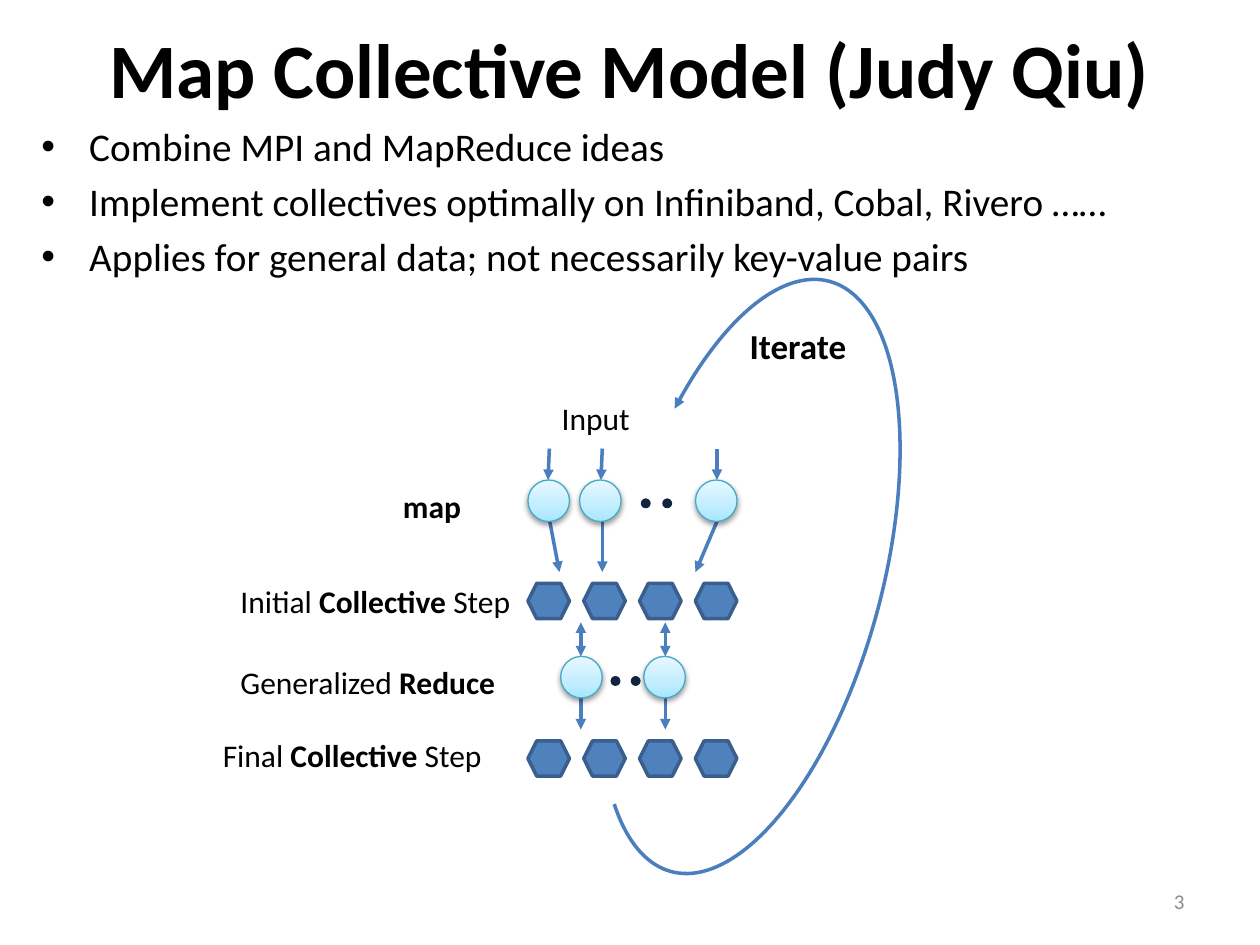
from copy import deepcopy
from dataclasses import dataclass

from lxml.etree import SubElement
from pptx import Presentation
from pptx.dml.color import RGBColor
from pptx.enum.shapes import MSO_CONNECTOR, MSO_SHAPE
from pptx.enum.text import MSO_ANCHOR, PP_ALIGN
from pptx.oxml.ns import qn
from pptx.util import Inches, Pt


@dataclass(frozen=True)
class Theme:
    font = "Calibri"
    text = RGBColor.from_string("000000")
    muted = RGBColor.from_string("8C8C8C")
    arrow = RGBColor.from_string("4B7EBC")
    hexagon = RGBColor.from_string("4F81BD")
    hexagon_edge = RGBColor.from_string("3A5F8C")
    dot = RGBColor.from_string("0F243E")
    disc_edge = RGBColor.from_string("46AAC5")
    disc_stops = ((0, "A7E6FF"), (0.35, "C1EDFF"), (1, "E7F8FF"))
    title_size = Pt(44)
    body_size = Pt(22.4)
    iterate_size = Pt(20)
    label_size = Pt(18)
    number_size = Pt(12)
    stroke = Pt(2)
    thin_stroke = Pt(0.75)


theme = Theme()
presentation = Presentation()
presentation.slide_width, presentation.slide_height = Inches(10), Inches(7.5)
slide = presentation.slides.add_slide(presentation.slide_layouts[6])
shapes = slide.shapes


def add_text(at, lines, size, color=theme.text, align=PP_ALIGN.LEFT, **frame_format):
    """Add a text box; words between asterisks are bold."""
    frame = shapes.add_textbox(*map(Inches, at)).text_frame
    for name, value in frame_format.items():
        setattr(frame, name, value)
    for index, line in enumerate(lines):
        paragraph = frame.add_paragraph() if index else frame.paragraphs[0]
        paragraph.alignment = align
        for part, words in enumerate(line.split("*")):
            if words:
                run = paragraph.add_run()
                run.text = words
                font_format = {"name": theme.font, "size": size, "bold": part % 2 == 1}
                for name, value in font_format.items():
                    setattr(run.font, name, value)
                run.font.color.rgb = color
    return frame


def style_arrow(arrow, ends):
    """Colour a line and put triangles at the given ends, headEnd before tailEnd."""
    arrow.line.color.rgb = theme.arrow
    arrow.line.width = theme.stroke
    for end in ends:
        SubElement(arrow.line._get_or_add_ln(), qn(f"a:{end}"), type="triangle")


# Heading, bullets and slide number
add_text((0.5, 0, 9, 1.07), ["*Map Collective Model (Judy Qiu)*"], theme.title_size,
         align=PP_ALIGN.CENTER, word_wrap=True, vertical_anchor=MSO_ANCHOR.MIDDLE)
ideas = add_text((0.23, 0.92, 9.68, 1.44), [
    "Combine MPI and MapReduce ideas",
    "Implement collectives optimally on Infiniband, Cobal, Rivero ……",
    "Applies for general data; not necessarily key-value pairs",
], theme.body_size, word_wrap=True)
for idea in ideas.paragraphs:
    idea.space_before = Pt(4.5)
    properties = idea._p.get_or_add_pPr()
    properties.set("marL", str(Inches(0.38)))
    properties.set("indent", str(-Inches(0.38)))
    SubElement(properties, qn("a:buFont"), typeface="Arial")
    SubElement(properties, qn("a:buChar"), char="•")
add_text((7.17, 6.95, 2.33, 0.4), ["3"], theme.number_size, theme.muted,
         PP_ALIGN.RIGHT, word_wrap=True, vertical_anchor=MSO_ANCHOR.MIDDLE)

# Iteration loop
loop = shapes.add_shape(MSO_SHAPE.ARC, *map(Inches, (4.91, 2.15, 2.09, 4.85)))
loop.rotation = 15
loop.adjustments[0], loop.adjustments[1] = 138.44, 63.52
loop.fill.background()
loop.shadow.inherit = False
style_arrow(loop, ["headEnd"])

# Arrows between the steps
map_flow = [(4.36, 4.35, 4.12, 4.44), (4.78, 4.77, 4.12, 4.78), (5.69, 5.69, 4.14, 5.52)]
reduce_centers = (4.61, 5.28)
one_way, two_way = ["tailEnd"], ["headEnd", "tailEnd"]
arrows = []
for center, input_tip, map_bottom, collective_tip in map_flow:
    arrows.append((center, 3.56, input_tip, 3.81, one_way))
    arrows.append((center, map_bottom, collective_tip, 4.54, one_way))
for center in reduce_centers:
    arrows.append((center, 4.94, center, 5.21, two_way))
    arrows.append((center, 5.54, center, 5.79, one_way))
for *ends_at, ends in arrows:
    arrow = shapes.add_connector(MSO_CONNECTOR.STRAIGHT, *map(Inches, ends_at))
    style_arrow(arrow, ends)
    SubElement(arrow._element.spPr, qn("a:effectLst"))

# Map and reduce tasks
for left, top in [(4.19, 3.81), (4.6, 3.81), (5.52, 3.81), (4.45, 5.21), (5.11, 5.21)]:
    task = shapes.add_shape(MSO_SHAPE.OVAL, *map(Inches, (left, top, 0.33, 0.33)))
    task.fill.gradient()
    task.fill.gradient_angle = 90
    stop_list = task._element.spPr.find(f"{qn('a:gradFill')}/{qn('a:gsLst')}")
    stop_list.append(deepcopy(stop_list[0]))
    for stop, (position, color) in zip(task.fill.gradient_stops, theme.disc_stops):
        stop.position = position
        stop.color.rgb = RGBColor.from_string(color)
    task.line.color.rgb = theme.disc_edge
    task.line.width = theme.thin_stroke
    task.shadow.inherit = False
    shadow = SubElement(task._element.spPr.find(qn("a:effectLst")), qn("a:outerShdw"),
                        blurRad=str(Pt(3.1)), dist=str(Pt(1.6)), dir="5400000",
                        rotWithShape="0")
    shadow_color = SubElement(shadow, qn("a:srgbClr"), val="000000")
    SubElement(shadow_color, qn("a:alpha"), val="38000")

# Ellipsis dots and rows of collective steps
dots = [(5.1, 3.97), (5.27, 3.97), (4.86, 5.38), (5.02, 5.38)]
steps = [(4.19 + 0.443 * column, top) for top in (4.63, 5.88) for column in range(4)]
for kind, places, size, fill, edge in [
    (MSO_SHAPE.OVAL, dots, (0.05, 0.05), theme.dot, theme.dot),
    (MSO_SHAPE.HEXAGON, steps, (0.33, 0.28), theme.hexagon, theme.hexagon_edge),
]:
    for place in places:
        mark = shapes.add_shape(kind, *map(Inches, place + size))
        mark.fill.solid()
        mark.fill.fore_color.rgb = fill
        mark.line.color.rgb = edge
        mark.line.width = theme.stroke
        mark.shadow.inherit = False

# Labels
for at, words, size in [
    ((4.36, 3.12, 0.75, 0.4), "Input", theme.label_size),
    ((3.1, 3.82, 0.67, 0.4), "*map*", theme.label_size),
    ((1.81, 4.57, 2.35, 0.4), "Initial *Collective *Step", theme.label_size),
    ((1.81, 5.21, 2.25, 0.4), "Generalized *Reduce*", theme.label_size),
    ((1.67, 5.79, 2.26, 0.4), "Final *Collective* Step", theme.label_size),
    ((5.85, 2.53, 0.98, 0.44), "*Iterate*", theme.iterate_size),
]:
    add_text(at, [words], size, word_wrap=False)

presentation.save("out.pptx")
